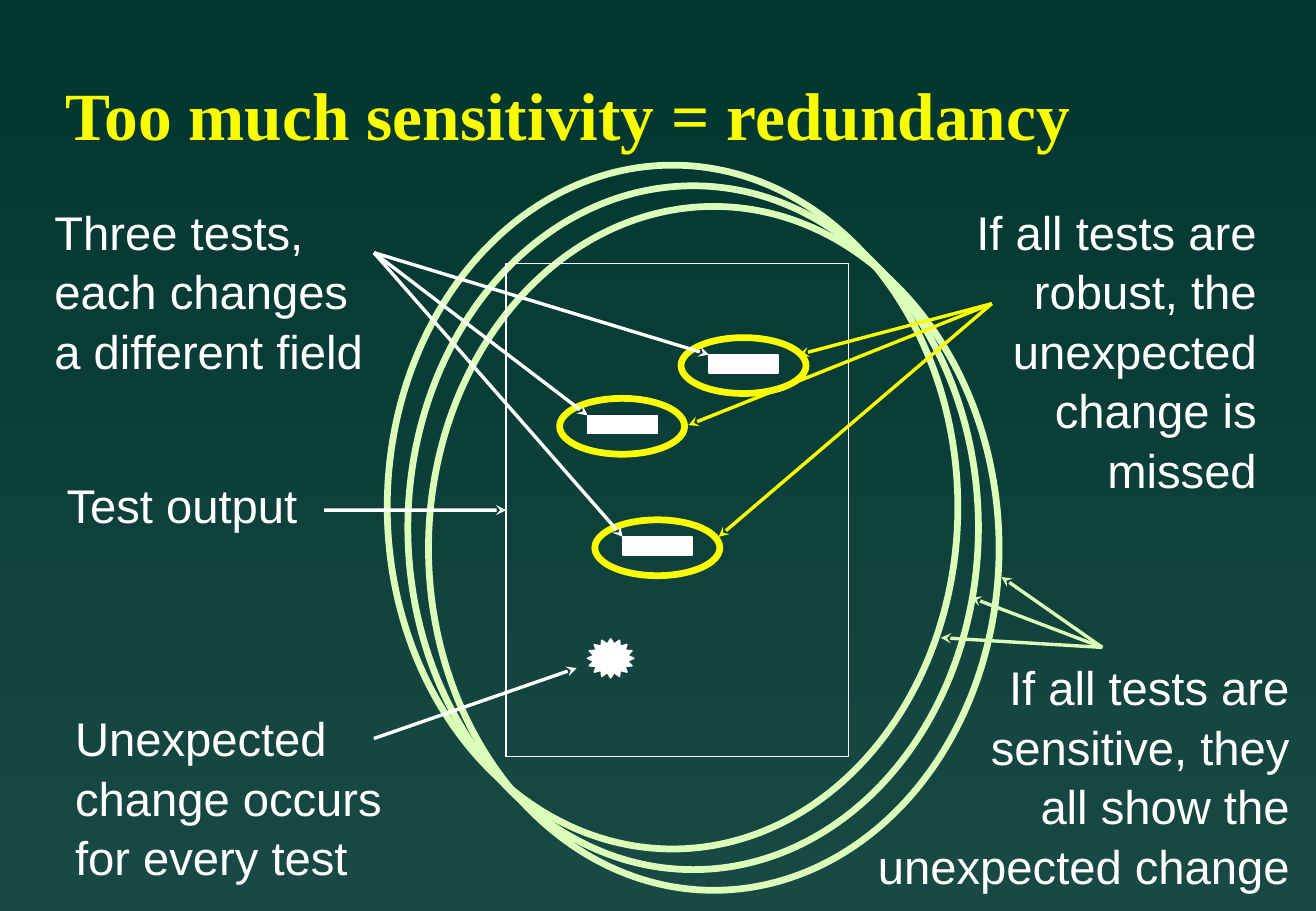
"""Build the slide on test sensitivity and redundancy."""
import dataclasses
import math

import lxml.etree
import pptx
import pptx.dml.color
import pptx.enum.shapes
import pptx.enum.text
import pptx.oxml.ns
import pptx.util

Inches = pptx.util.Inches
Align = pptx.enum.text.PP_ALIGN
Shape = pptx.enum.shapes.MSO_SHAPE


@dataclasses.dataclass(frozen=True)
class Theme:
    """Colours, fonts and sizes of the slide."""
    top: str = "003530"
    bottom: str = "194944"
    white: str = "FFFFFF"
    yellow: str = "FAFD00"
    green: str = "DBFFB8"
    title_font: str = "Times New Roman"
    body_font: str = "Arial"
    title_size: int = 40
    body_size: int = 28
    thin: int = 1
    arrow: int = 2
    ring: int = 4


def color(value):
    """Return a colour object for a hex value."""
    return pptx.dml.color.RGBColor.from_string(value)


def apply(target, values):
    """Set each attribute in the dict on the target."""
    for name, value in values.items():
        setattr(target, name, value)


class SlideBuilder:
    """Draws styled elements on one slide."""

    def __init__(self, slide, theme):
        """Keep the slide and its style."""
        self.slide = slide
        self.theme = theme

    def background(self):
        """Fill the background from top to bottom."""
        fill = self.slide.background.fill
        fill.gradient()
        fill.gradient_angle = 270
        for stop, value in zip(fill.gradient_stops, (self.theme.top, self.theme.bottom)):
            stop.color.rgb = color(value)

    def set_text(self, box, lines, font, frame, para_format):
        """Put one paragraph per line in a text frame."""
        apply(box.text_frame, frame)
        box.text_frame.text = "\n".join(lines)
        for para in box.text_frame.paragraphs:
            apply(para, para_format)
            for span in para.runs:
                apply(span.font, {key: value for key, value in font.items() if key != "color"})
                span.font.color.rgb = color(font["color"])

    def title(self, text, left, top, width, height):
        """Place and format the title placeholder."""
        box = self.slide.shapes.title
        apply(box, {"left": Inches(left), "top": Inches(top),
                    "width": Inches(width), "height": Inches(height)})
        font = {"name": self.theme.title_font, "bold": True, "color": self.theme.yellow,
                "size": pptx.util.Pt(self.theme.title_size)}
        frame = {"margin_left": Inches(0.07), "margin_right": Inches(0.07),
                 "margin_top": Inches(0.03), "margin_bottom": Inches(0.03),
                 "word_wrap": True,
                 "vertical_anchor": pptx.enum.text.MSO_ANCHOR.BOTTOM,
                 "auto_size": pptx.enum.text.MSO_AUTO_SIZE.SHAPE_TO_FIT_TEXT}
        self.set_text(box, [text], font, frame, {"alignment": Align.LEFT})

    def note(self, lines, left, top, width, height, alignment=Align.LEFT):
        """Add a text box of short lines."""
        box = self.slide.shapes.add_textbox(
            Inches(left), Inches(top), Inches(width), Inches(height))
        font = {"name": self.theme.body_font, "color": self.theme.white,
                "size": pptx.util.Pt(self.theme.body_size)}
        frame = {"word_wrap": False,
                 "auto_size": pptx.enum.text.MSO_AUTO_SIZE.SHAPE_TO_FIT_TEXT}
        self.set_text(box, lines, font, frame, {"alignment": alignment, "line_spacing": 1.05})

    def paint(self, shape, line, weight, fill=None):
        """Set the outline and the fill of a shape."""
        shape.shadow.inherit = False
        shape.line.color.rgb = color(line)
        shape.line.width = pptx.util.Pt(weight)
        if fill:
            shape.fill.solid()
            shape.fill.fore_color.rgb = color(fill)
        else:
            shape.fill.background()

    def shape(self, kind, left, top, width, height, line, weight, fill=None):
        """Add a preset shape."""
        shape = self.slide.shapes.add_shape(
            kind, Inches(left), Inches(top), Inches(width), Inches(height))
        self.paint(shape, line, weight, fill)
        return shape

    def burst(self, center_x, center_y, radius_x, radius_y, tips=16, inner=0.74):
        """Add a star outline with evenly spaced tips."""
        points = []
        for index in range(2 * tips):
            angle = math.pi * index / tips
            reach = inner if index % 2 else 1
            points.append((Inches(center_x - reach * radius_x * math.cos(angle)),
                           Inches(center_y - reach * radius_y * math.sin(angle))))
        outline = self.slide.shapes.build_freeform(*points[0])
        outline.add_line_segments(points[1:], close=True)
        self.paint(outline.convert_to_shape(), self.theme.white, self.theme.thin,
                   self.theme.white)

    def arrow(self, start, end, line):
        """Add a straight arrow with a stealth head."""
        points = [Inches(value) for value in (*start, *end)]
        arrow = self.slide.shapes.add_connector(
            pptx.enum.shapes.MSO_CONNECTOR.STRAIGHT, *points)
        arrow.line.color.rgb = color(line)
        arrow.line.width = pptx.util.Pt(self.theme.arrow)
        qn = pptx.oxml.ns.qn
        properties = arrow._element.spPr
        lxml.etree.SubElement(properties.find(qn("a:ln")), qn("a:tailEnd"), type="stealth")
        lxml.etree.SubElement(properties, qn("a:effectLst"))
        return arrow

    def fan(self, start, ends, line):
        """Add arrows from one point to several ends."""
        for end in ends:
            self.arrow(start, end, line)


def main():
    """Build and save the deck."""
    theme = Theme()
    deck = pptx.Presentation()
    apply(deck, {"slide_width": Inches(10.84), "slide_height": Inches(7.5)})
    page = SlideBuilder(deck.slides.add_slide(deck.slide_layouts[5]), theme)
    page.background()

    for step in range(3):
        shift = 0.17 * step
        page.shape(Shape.OVAL, 3.19 + shift, 1.36 + shift, 4.7, 5.63,
                   theme.green, theme.ring)
    page.title("Too much sensitivity = redundancy", 0.47, 0.58, 10.23, 0.72)
    output_frame = page.shape(Shape.RECTANGLE, 4.17, 2.17, 2.82, 4.06,
                              theme.white, theme.thin)

    fields = [(5.84, 2.92), (4.84, 3.42), (5.13, 4.42)]
    for left, top in fields:
        page.shape(Shape.RECTANGLE, left, top, 0.57, 0.15,
                   theme.white, theme.thin, theme.white)
        page.shape(Shape.OVAL, left - 0.23, top - 0.14, 1.03, 0.46,
                   theme.yellow, theme.ring)
    page.burst(5.03, 5.42, 0.19, 0.16)

    page.note(["Three tests,", "each changes", "a different field"], 0.35, 1.6, 2.75, 1.5)
    page.note(["Test output"], 0.45, 3.85, 2.15, 0.57)
    page.note(["Unexpected", "change occurs", "for every test"], 0.52, 5.77, 2.73, 1.5)
    page.note(["If all tests are", "robust, the", "unexpected", "change is", "missed"],
              7.94, 1.6, 2.51, 2.44, Align.RIGHT)
    page.note(["If all tests are", "sensitive, they", "all show the", "unexpected change"],
              7.13, 5.35, 3.59, 1.97, Align.RIGHT)

    page.fan((3.08, 2.08), fields, theme.white)
    page.fan((8.17, 2.5), [(6.58, 2.92), (5.67, 3.5), (5.92, 4.42)], theme.yellow)
    page.fan((9.08, 5.33), [(8.25, 4.75), (8, 4.92), (7.75, 5.25)], theme.green)
    page.arrow((3.08, 6.08), (4.75, 5.5), theme.white)
    page.arrow((2.67, 4.2), (4.17, 4.2), theme.white).end_connect(output_frame, 1)
    deck.save("out.pptx")


if __name__ == "__main__":
    main()
